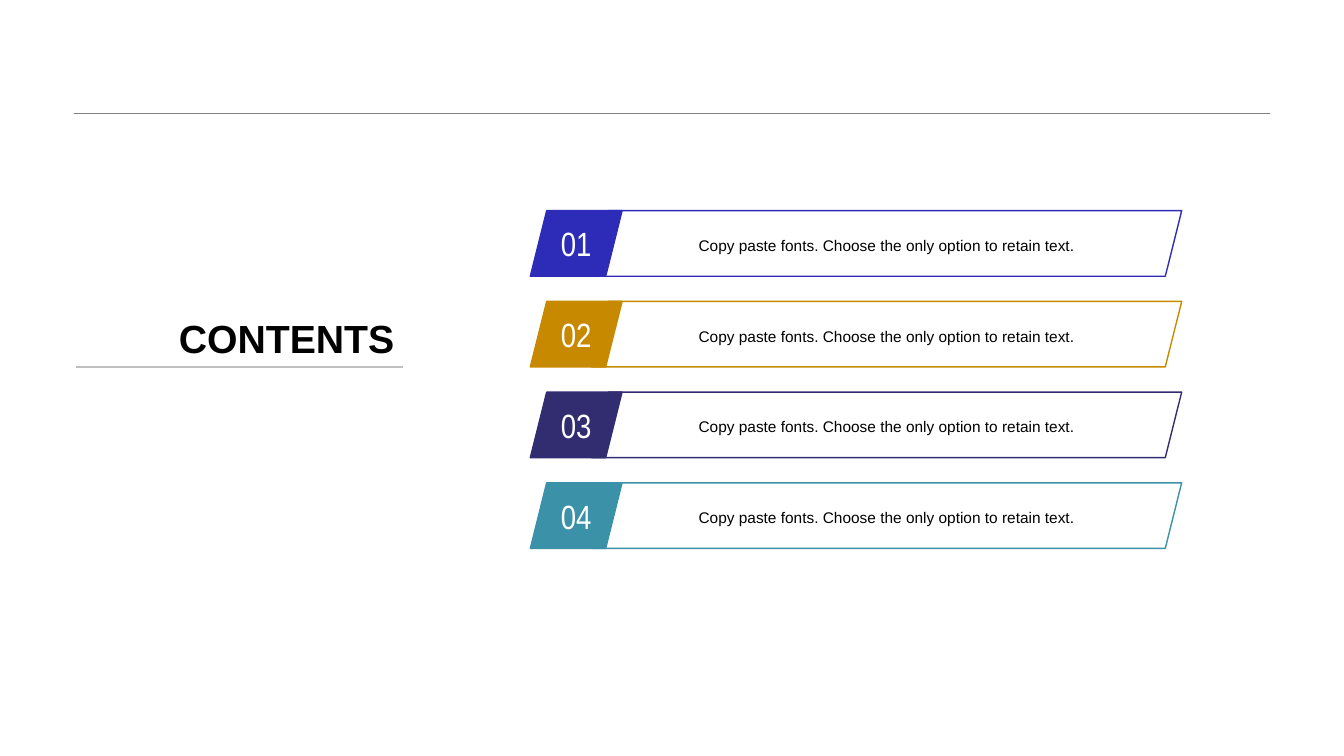
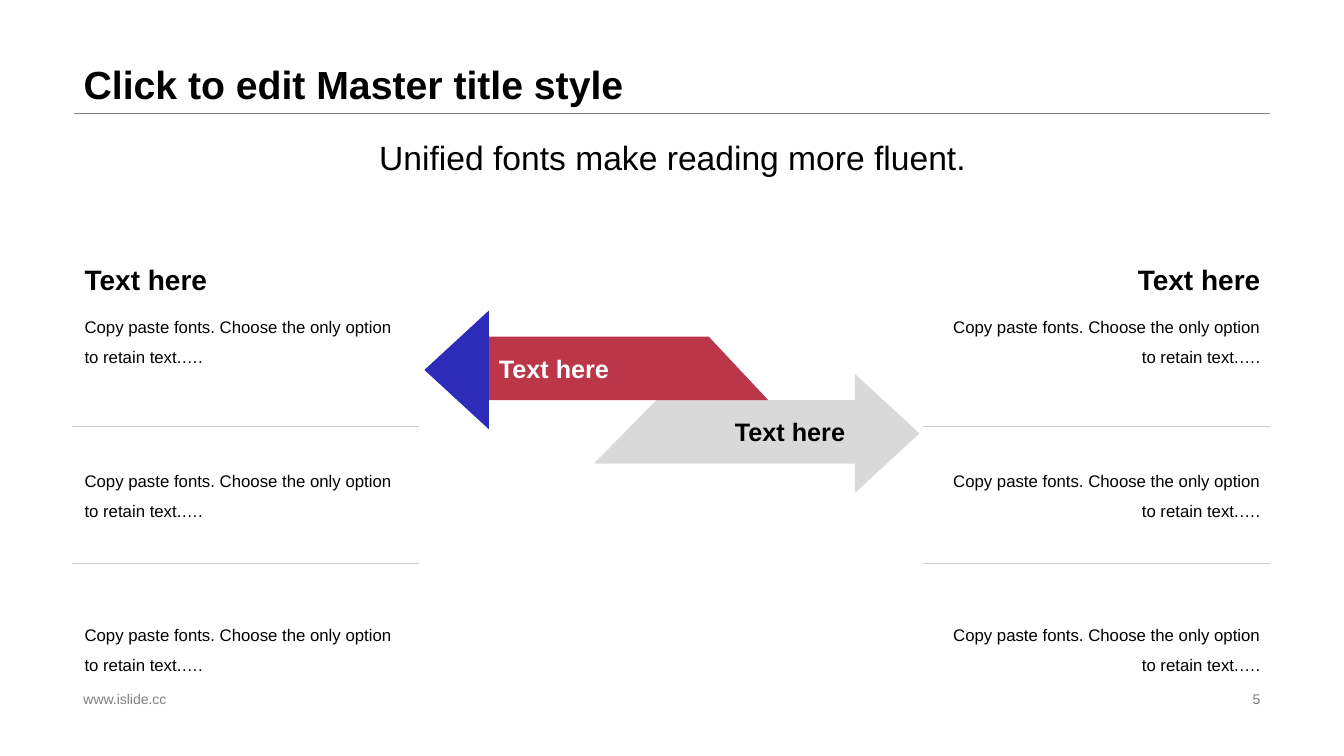
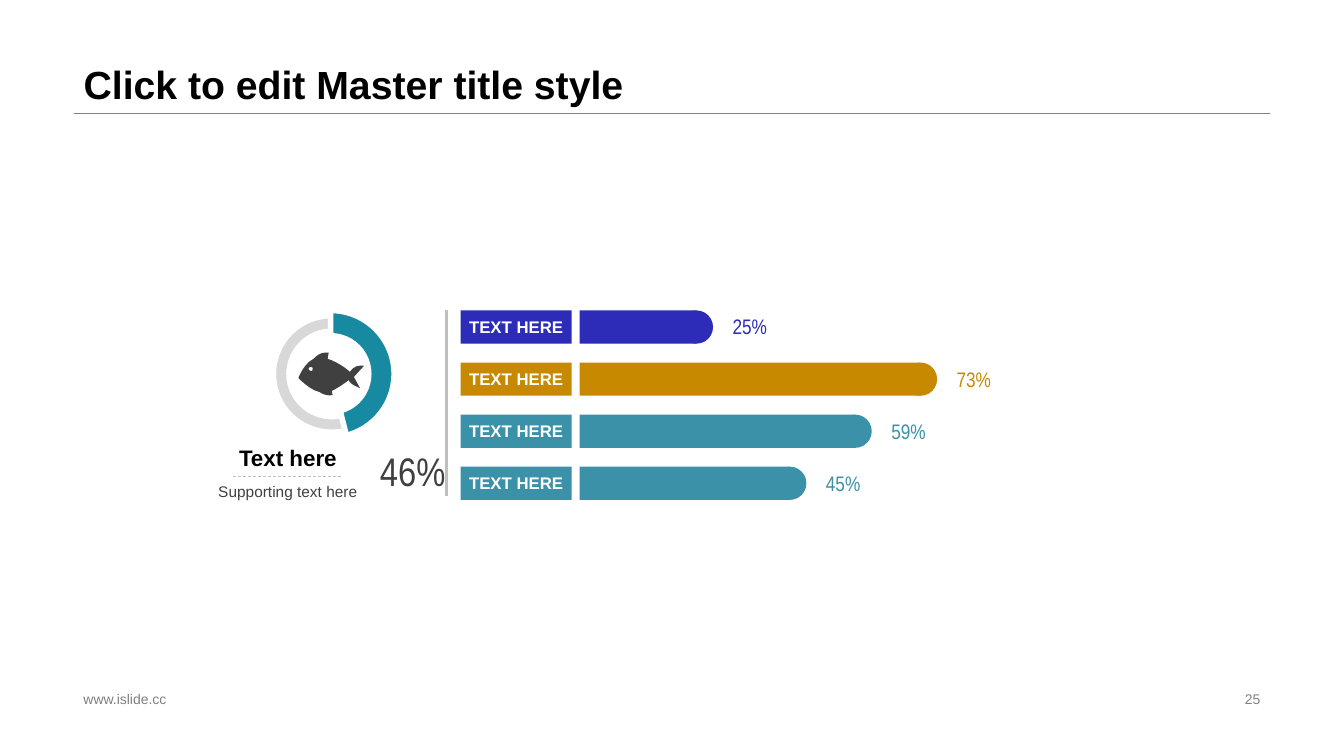
from dataclasses import dataclass

from lxml import etree
from pptx import Presentation
from pptx.dml.color import RGBColor
from pptx.enum import dml, shapes, text
from pptx.oxml.ns import qn
from pptx.util import Inches, Pt

SHAPE = shapes.MSO_SHAPE
ALIGN = text.PP_ALIGN
ANCHOR = text.MSO_ANCHOR


@dataclass(frozen=True)
class Theme:
    sans: str = "Arial"
    narrow: str = "Arial Narrow"
    black: str = "000000"
    white: str = "FFFFFF"
    dark: str = "404040"
    gray: str = "808080"
    rule: str = "BFBFBF"
    divider: str = "C8CDD4"
    ring: str = "D8D8D8"
    pale: str = "D9D9D9"
    blue: str = "2C2CB9"
    gold: str = "C68900"
    indigo: str = "322C71"
    teal: str = "3A91A8"
    deep_teal: str = "178AA1"
    red: str = "BC3649"
    title: float = 28
    figure: float = 28.5
    lead: float = 24
    heading: float = 20
    arrow: float = 18
    caption: float = 16
    percent: float = 15
    body: float = 12
    small: float = 11
    footer: float = 10


T = Theme()
MARGIN, CONTENT_WIDTH = 0.73, 11.87
SLIDE_TITLE = "Click to edit Master title style"
COPY = "Copy paste fonts. Choose the only option to retain text."

# Inches from the fish's top left corner: points, or cubic curves as two controls and an end.
FISH_BODY = [
    (0.65, 0.14), (0.65, 0.14, 0.58, 0.13, 0.55, 0.16),
    (0.53, 0.17, 0.52, 0.19, 0.51, 0.20), (0.47, 0.16, 0.38, 0.10, 0.29, 0.07),
    (0.30, 0.01), (0.23, 0, 0.19, 0.03, 0.15, 0.07),
    (0.05, 0.12, 0, 0.26, 0, 0.26), (0, 0.26, 0.11, 0.38, 0.21, 0.40),
    (0.24, 0.42, 0.28, 0.44, 0.34, 0.43), (0.33, 0.39),
    (0.39, 0.36, 0.45, 0.32, 0.50, 0.28), (0.50, 0.29, 0.51, 0.30, 0.52, 0.31),
    (0.55, 0.34, 0.61, 0.36, 0.61, 0.36), (0.55, 0.25),
]
FISH_EYE = [
    (0.14, 0.17), (0.14, 0.18, 0.14, 0.19, 0.13, 0.19),
    (0.11, 0.19, 0.10, 0.18, 0.10, 0.16), (0.11, 0.16, 0.11, 0.15, 0.12, 0.15),
    (0.13, 0.15, 0.15, 0.16, 0.14, 0.17),
]


def rgb(color):
    return RGBColor.from_string(color)


def inches(*lengths):
    return [Inches(length) for length in lengths]


def write(shape, words, size, color=T.black, font=T.sans, bold=False,
          align=ALIGN.LEFT, anchor=ANCHOR.MIDDLE, wrap=True, spacing=1.0):
    frame = shape.text_frame
    frame.auto_size = text.MSO_AUTO_SIZE.NONE
    frame.word_wrap = wrap
    frame.vertical_anchor = anchor
    paragraph = frame.paragraphs[0]
    paragraph.text = words
    paragraph.alignment = align
    paragraph.line_spacing = spacing
    paragraph.font.name = font
    paragraph.font.size = Pt(size)
    paragraph.font.bold = bold
    paragraph.font.color.rgb = rgb(color)


def add_text(slide, box, words, size, **style):
    write(slide.shapes.add_textbox(*inches(*box)), words, size, **style)


def paint(shape, fill=None, line=None, width=1):
    shape.shadow.inherit = False
    if fill:
        shape.fill.solid()
        shape.fill.fore_color.rgb = rgb(fill)
    else:
        shape.fill.background()
    if line:
        shape.line.color.rgb = rgb(line)
        shape.line.width = Pt(width)
    else:
        shape.line.fill.background()
    return shape


def add_preset(slide, kind, box, fill=None, line=None, width=1):
    return paint(slide.shapes.add_shape(kind, *inches(*box)), fill, line, width)


def add_outline(slide, contours, fill):
    """Fill closed contours, each a list of slide points in inches."""
    builder = None
    for contour in contours:
        start, *rest = [inches(*point) for point in contour]
        if builder is None:
            builder = slide.shapes.build_freeform(*start, scale=1.0)
        else:
            builder.move_to(*start)
        builder.add_line_segments(rest, close=True)
    return paint(builder.convert_to_shape(), fill)


def add_rule(slide, start, end, color, width, dash=None):
    rule = slide.shapes.add_connector(
        shapes.MSO_CONNECTOR.STRAIGHT, *inches(*start, *end))
    rule.line.color.rgb = rgb(color)
    rule.line.width = Pt(width)
    if dash:
        rule.line.dash_style = dash
    etree.SubElement(rule.element.spPr, qn("a:effectLst"))


def add_base(deck, title, box=(MARGIN, 0, CONTENT_WIDTH, 1.12), number=None, **style):
    """Add a slide with the shared rule and title, and a footer if it is numbered."""
    slide = deck.slides.add_slide(deck.slide_layouts.get_by_name("Title Only"))
    heading = slide.shapes.title
    heading.left, heading.top, heading.width, heading.height = inches(*box)
    write(heading, title, T.title, bold=True, anchor=ANCHOR.BOTTOM, **style)
    right = MARGIN + CONTENT_WIDTH
    add_rule(slide, (MARGIN, 1.12), (right, 1.12), T.gray, 0.25)
    if number:
        add_text(slide, (MARGIN, 6.82, 4.53, 0.23), "www.islide.cc", T.footer, color=T.gray)
        add_text(slide, (right - 3.18, 6.82, 3.18, 0.23), number, T.footer,
                 color=T.gray, align=ALIGN.RIGHT)
    return slide


def contents_list(slide, left, top, width, height=0.65, pitch=0.9):
    for row, color in enumerate((T.blue, T.gold, T.indigo, T.teal)):
        y = top + row * pitch
        entry = add_preset(slide, SHAPE.PARALLELOGRAM,
                           (left + 0.61, y, width - 0.61, height), line=color)
        write(entry, COPY, T.small, align=ALIGN.CENTER, spacing=1.2)
        badge = add_preset(slide, SHAPE.PARALLELOGRAM, (left, y, 0.91, height), color, color)
        write(badge, f"{row + 1:02}", T.lead, color=T.white, font=T.narrow,
              align=ALIGN.CENTER, wrap=False)


def contents_slide(deck):
    slide = add_base(deck, "CONTENTS", box=(1.62, 2.54, 2.39, 1.1),
                     align=ALIGN.RIGHT, wrap=False)
    add_rule(slide, (0.75, 3.64), (4, 3.64), T.rule, 1.5)
    contents_list(slide, 5.26, 2.09, 6.46)


def text_column(slide, left, top, width, align):
    text_left, text_width = left + 0.03, width - 0.03
    add_text(slide, (text_left, top, text_width, 0.43), "Text here", T.heading,
             bold=True, align=align, anchor=ANCHOR.TOP)
    for row in range(3):
        add_text(slide, (text_left, top + 0.43 + row * 1.53, text_width, 0.68),
                 COPY + "….", T.body, align=align, anchor=ANCHOR.TOP, spacing=1.5)
    for row in range(2):
        y = top + 1.67 + row * 1.36
        add_rule(slide, (left, y), (left + width, y), T.divider, 0.25)


def slanted_arrow(slide, neck, top, direction, edges, head_fill, band_fill, ink, align):
    """Draw an arrow whose head starts at neck; edges are the band's top and bottom lengths."""
    upper, lower = (neck - direction * length for length in edges)
    bottom = top + 0.63
    band = add_outline(slide, [[(neck, top), (upper, top), (lower, bottom), (neck, bottom)]],
                       band_fill)
    write(band, "Text here", T.arrow, color=ink, bold=True, align=align)
    middle = top + 0.33
    add_outline(slide, [[(neck, middle - 0.59), (neck + direction * 0.64, middle),
                         (neck, middle + 0.59)]], head_fill)


def arrows_slide(deck):
    slide = add_base(deck, SLIDE_TITLE, number="5", spacing=0.9)
    slanted_arrow(slide, 8.48, 3.97, 1, (1.97, 2.59), T.pale, T.pale, T.black, ALIGN.RIGHT)
    slanted_arrow(slide, 4.85, 3.34, -1, (2.18, 2.77), T.blue, T.red, T.white, ALIGN.LEFT)
    add_text(slide, (0.74, 1.24, 11.86, 0.64), "Unified fonts make reading more fluent.",
             T.lead, align=ALIGN.CENTER)
    text_column(slide, 0.71, 2.56, 3.45, ALIGN.LEFT)
    text_column(slide, 9.15, 2.56, 3.45, ALIGN.RIGHT)


def bar_list(slide, left, top, height):
    bars = ((25, T.blue), (73, T.gold), (59, T.teal), (45, T.teal))
    thick = 0.33
    pitch = (height - thick) / (len(bars) - 1)
    bar_left = left + 1.18
    for row, (percent, color) in enumerate(bars):
        y = top + row * pitch
        length = 4.63 * percent / 100
        end = bar_left + length
        add_preset(slide, SHAPE.RECTANGLE, (bar_left, y, length, thick), color)
        add_preset(slide, SHAPE.OVAL, (end - thick / 2, y, thick, thick), color)
        add_text(slide, (end + 0.26, y + 0.02, 0.57, 0.28), f"{percent}%", T.percent,
                 color=color, font=T.narrow, wrap=False)
        label = add_preset(slide, SHAPE.RECTANGLE, (left, y, 1.1, thick), color)
        write(label, "TEXT HERE", T.body, color=T.white, bold=True,
              align=ALIGN.CENTER, wrap=False)


def flatten(steps, left, top, pieces=6):
    """Turn points and cubic curves into slide points."""
    points = []
    for step in steps:
        if len(step) == 2:
            points.append(step)
            continue
        x0, y0 = points[-1]
        x1, y1, x2, y2, x3, y3 = step
        for piece in range(1, pieces + 1):
            t = piece / pieces
            a, b, c, d = (1 - t) ** 3, 3 * t * (1 - t) ** 2, 3 * t * t * (1 - t), t ** 3
            points.append((a * x0 + b * x1 + c * x2 + d * x3,
                           a * y0 + b * y1 + c * y2 + d * y3))
    return [(left + x, top + y) for x, y in points]


def ring_gauge(slide, left, top, percent):
    ring = add_preset(slide, SHAPE.DONUT, (left + 0.79, top + 0.08, 1.1, 1.1), T.ring)
    ring.adjustments[0] = 0.09
    arc = add_preset(slide, SHAPE.BLOCK_ARC, (left + 0.7, top, 1.26, 1.26),
                     T.deep_teal, T.white, 4)
    units_per_degree = 0.6
    arc.adjustments[0] = 270 * units_per_degree
    arc.adjustments[1] = (percent * 3.6 - 90) * units_per_degree
    arc.adjustments[2] = 0.2
    add_outline(slide, [flatten(part, left + 1.01, top + 0.41)
                        for part in (FISH_BODY, FISH_EYE)], T.dark)
    add_text(slide, (left, top + 1.11, 1.81, 0.53), "Text here", T.caption,
             bold=True, align=ALIGN.CENTER, anchor=ANCHOR.BOTTOM)
    add_text(slide, (left, top + 1.65, 1.81, 0.53), "Supporting text here", T.small,
             color=T.dark, align=ALIGN.CENTER, anchor=ANCHOR.TOP)
    add_rule(slide, (left + 0.36, top + 1.65), (left + 1.45, top + 1.65), T.rule, 0.5,
             dml.MSO_LINE.DASH)
    add_text(slide, (left + 1.72, top + 1.33, 0.68, 0.51), f"{percent}%", T.figure,
             color=T.dark, font=T.narrow, wrap=False)


def gauge_slide(deck):
    slide = add_base(deck, SLIDE_TITLE, number="25", spacing=0.9)
    bar_list(slide, 4.57, 3.08, 1.88)
    ring_gauge(slide, 1.95, 3.08, 46)
    add_rule(slide, (4.43, 3.08), (4.43, 4.92), T.rule, 1.75)


def main():
    deck = Presentation()
    deck.slide_width, deck.slide_height = inches(13.33, 7.5)
    contents_slide(deck)
    arrows_slide(deck)
    gauge_slide(deck)
    deck.save("out.pptx")


if __name__ == "__main__":
    main()
